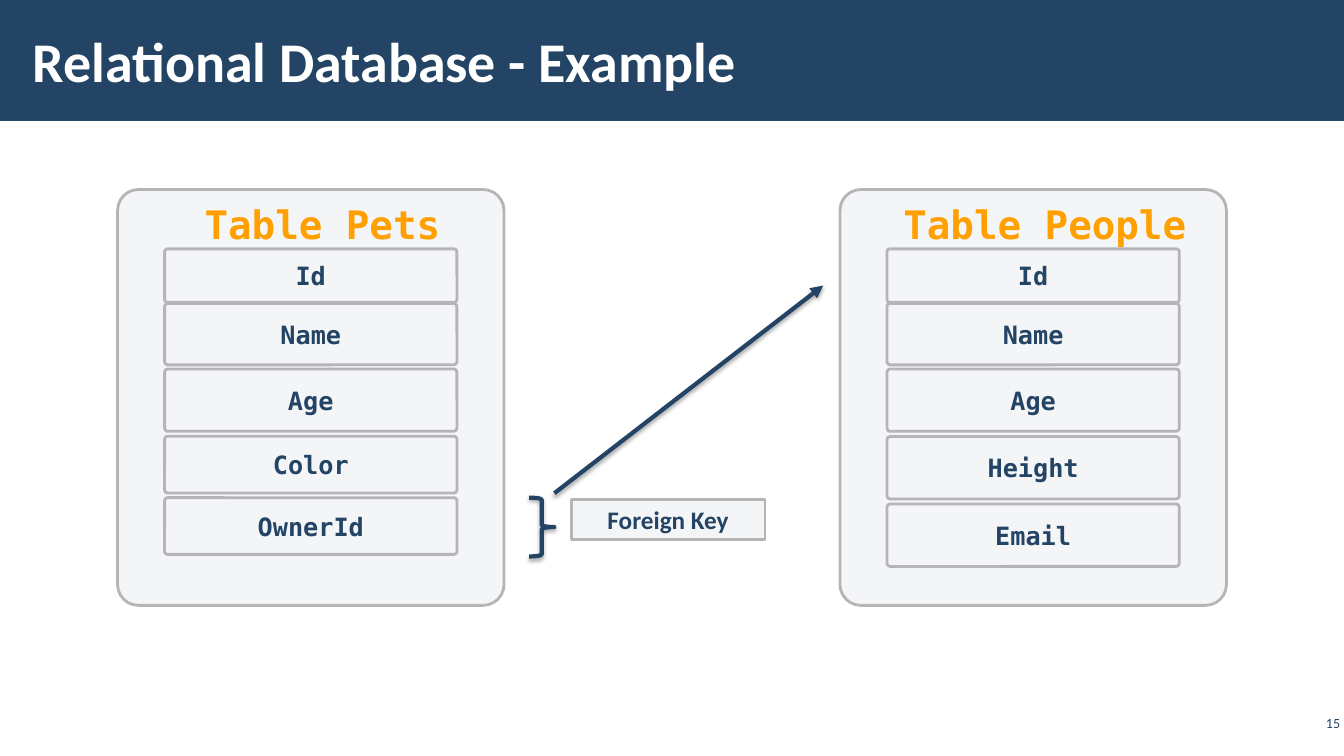
from lxml import etree
from pptx import Presentation
from pptx.dml.color import RGBColor
from pptx.enum.shapes import MSO_CONNECTOR, MSO_SHAPE
from pptx.enum.text import MSO_ANCHOR, PP_ALIGN
from pptx.oxml.ns import qn
from pptx.util import Pt

RECTANGLE = MSO_SHAPE.RECTANGLE
ROUNDED = MSO_SHAPE.ROUNDED_RECTANGLE
BRACE = MSO_SHAPE.RIGHT_BRACE
STRAIGHT = MSO_CONNECTOR.STRAIGHT
TOP, MIDDLE = MSO_ANCHOR.TOP, MSO_ANCHOR.MIDDLE
LEFT, CENTER, RIGHT = PP_ALIGN.LEFT, PP_ALIGN.CENTER, PP_ALIGN.RIGHT

TITLE = "Relational Database - Example"
SHARED_FIELDS = [("Id", 177.8, 38.2), ("Name", 216.7, 43.9), ("Age", 263.5, 44.6)]
TABLES = [
    {"name": "Table Pets", "left": 84, "indent": 57.8,
     "fields": SHARED_FIELDS + [("Color", 311.6, 40.5), ("OwnerId", 355.5, 40.5)]},
    {"name": "Table People", "left": 600, "indent": 40.9,
     "fields": SHARED_FIELDS + [("Height", 311.8, 44.6), ("Email", 360, 44.6)]},
]
KEY_LABEL = "Foreign Key"
PAGE_NUMBER = "15"

NAVY, WHITE, ORANGE = "234465", "FFFFFF", "FFA000"
PANEL_FILL, PANEL_LINE = "F4F5F7", "B5B5B7"
SANS, MONO = "Calibri", "DejaVu Sans Mono"
PANEL_TOP, PANEL_WIDTH, PANEL_HEIGHT = 135.4, 276, 297
FIELD_WIDTH = 208.8


def color(value):
    return RGBColor.from_string(value)


def write(shape, text, size, font, fill, bold=True, align=CENTER, anchor=MIDDLE,
          margins=(7.2, 3.6, 7.2, 3.6)):
    frame = shape.text_frame
    frame.text = text
    frame.word_wrap = True
    frame.vertical_anchor = anchor
    frame.margin_left, frame.margin_top, frame.margin_right, frame.margin_bottom = map(Pt, margins)
    paragraph = frame.paragraphs[0]
    paragraph.alignment = align
    run = paragraph.runs[0]
    run.font.size = Pt(size)
    run.font.name = font
    run.font.bold = bold
    run.font.color.rgb = color(fill)


def add_box(slide, kind, left, top, width, height, corner=None):
    shape = slide.shapes.add_shape(kind, Pt(left), Pt(top), Pt(width), Pt(height))
    shape.shadow.inherit = False
    shape.fill.solid()
    shape.fill.fore_color.rgb = color(PANEL_FILL)
    shape.line.color.rgb = color(PANEL_LINE)
    shape.line.width = Pt(2)
    if corner:
        shape.adjustments[0] = corner
    return shape


def add_shadow(shape):
    properties = shape._element.spPr
    for old in properties.findall(qn("a:effectLst")):
        properties.remove(old)
    effects = etree.SubElement(properties, qn("a:effectLst"))
    shadow = etree.SubElement(effects, qn("a:outerShdw"), blurRad=str(Pt(3.1)),
                              dist=str(Pt(1.8)), dir="5400000", rotWithShape="0")
    tint = etree.SubElement(shadow, qn("a:srgbClr"), val="000000")
    etree.SubElement(tint, qn("a:alpha"), val="35000")


def add_header(slide):
    bar = add_box(slide, RECTANGLE, 0, 0, 960, 86.4)
    bar.fill.fore_color.rgb = color(NAVY)
    bar.line.fill.background()
    slide.shapes._spTree.insert(2, bar._element)
    title = slide.shapes.title
    title.left, title.top, title.width, title.height = Pt(15), Pt(8), Pt(749), Pt(70)
    write(title, TITLE, 40, SANS, WHITE, align=LEFT, margins=(8.5, 2.8, 8.5, 2.8))


def add_database_table(slide, table):
    panel = add_box(slide, ROUNDED, table["left"], PANEL_TOP, PANEL_WIDTH, PANEL_HEIGHT, 0.054)
    write(panel, table["name"], 28, MONO, ORANGE, align=LEFT, anchor=TOP,
          margins=(table["indent"], 3.6, 7.2, 3.6))
    field_left = table["left"] + (PANEL_WIDTH - FIELD_WIDTH) / 2
    for name, top, height in table["fields"]:
        field = add_box(slide, ROUNDED, field_left, top, FIELD_WIDTH, height, 0.053)
        write(field, name, 18, MONO, NAVY)


def add_foreign_key(slide):
    brace = slide.shapes.add_shape(BRACE, Pt(378), Pt(355.5), Pt(18), Pt(42))
    brace.fill.background()
    label = add_box(slide, RECTANGLE, 408, 356.6, 138.5, 29)
    write(label, KEY_LABEL, 18, SANS, NAVY)
    arrow = slide.shapes.add_connector(STRAIGHT, Pt(396), Pt(352.3), Pt(588), Pt(204))
    for mark in (brace, arrow):
        mark.line.color.rgb = color(NAVY)
        mark.line.width = Pt(3)
        add_shadow(mark)
    etree.SubElement(arrow.line._get_or_add_ln(), qn("a:tailEnd"), type="triangle")


def main():
    presentation = Presentation()
    presentation.slide_width, presentation.slide_height = Pt(960), Pt(540)
    slide = presentation.slides.add_slide(presentation.slide_layouts[5])
    add_header(slide)
    for table in TABLES:
        add_database_table(slide, table)
    add_foreign_key(slide)
    number = slide.shapes.add_textbox(Pt(926), Pt(504), Pt(34), Pt(24.5))
    write(number, PAGE_NUMBER, 10, SANS, NAVY, bold=False, align=RIGHT,
          margins=(2.8, 2.8, 2.8, 2.8))
    presentation.save("out.pptx")


if __name__ == "__main__":
    main()
